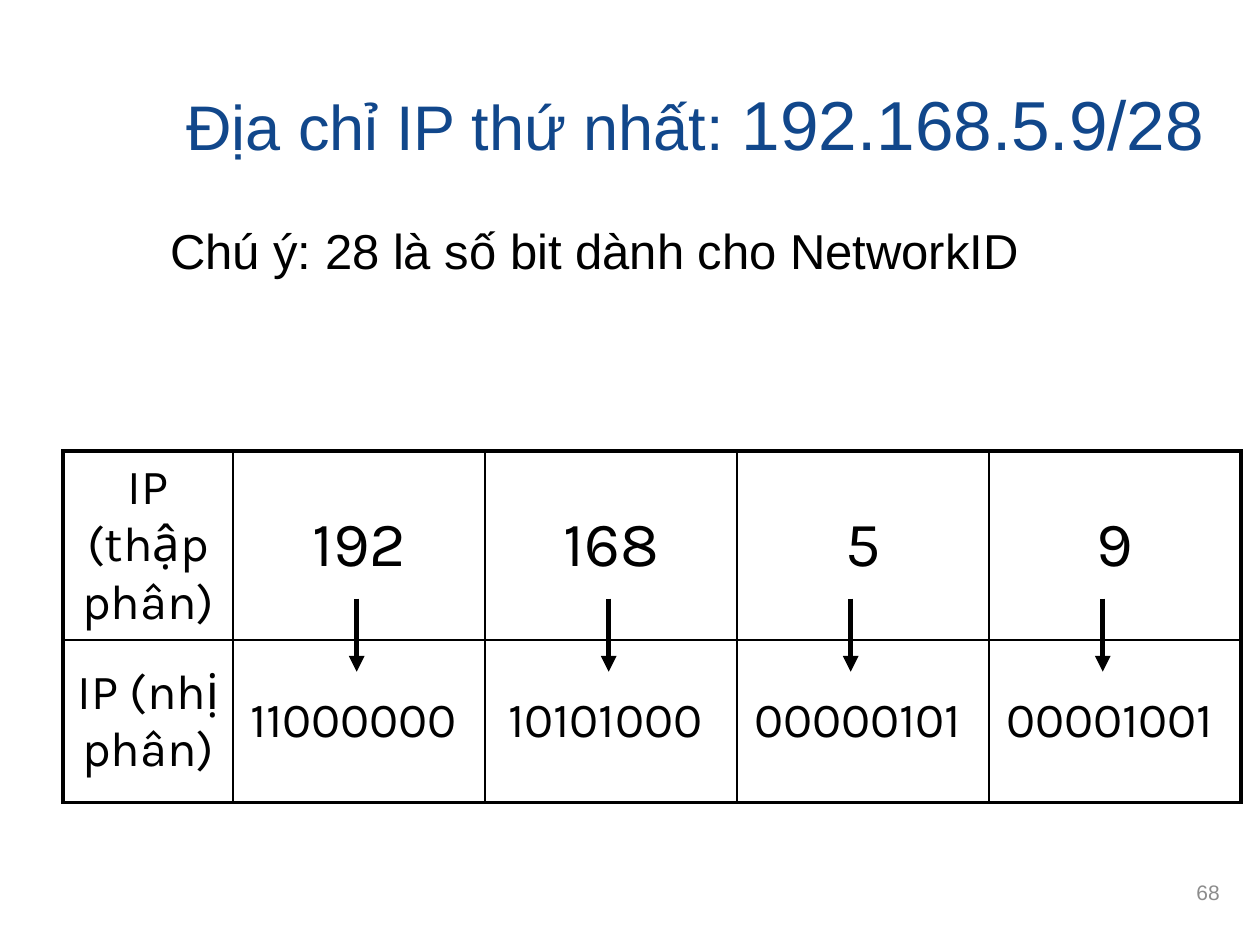
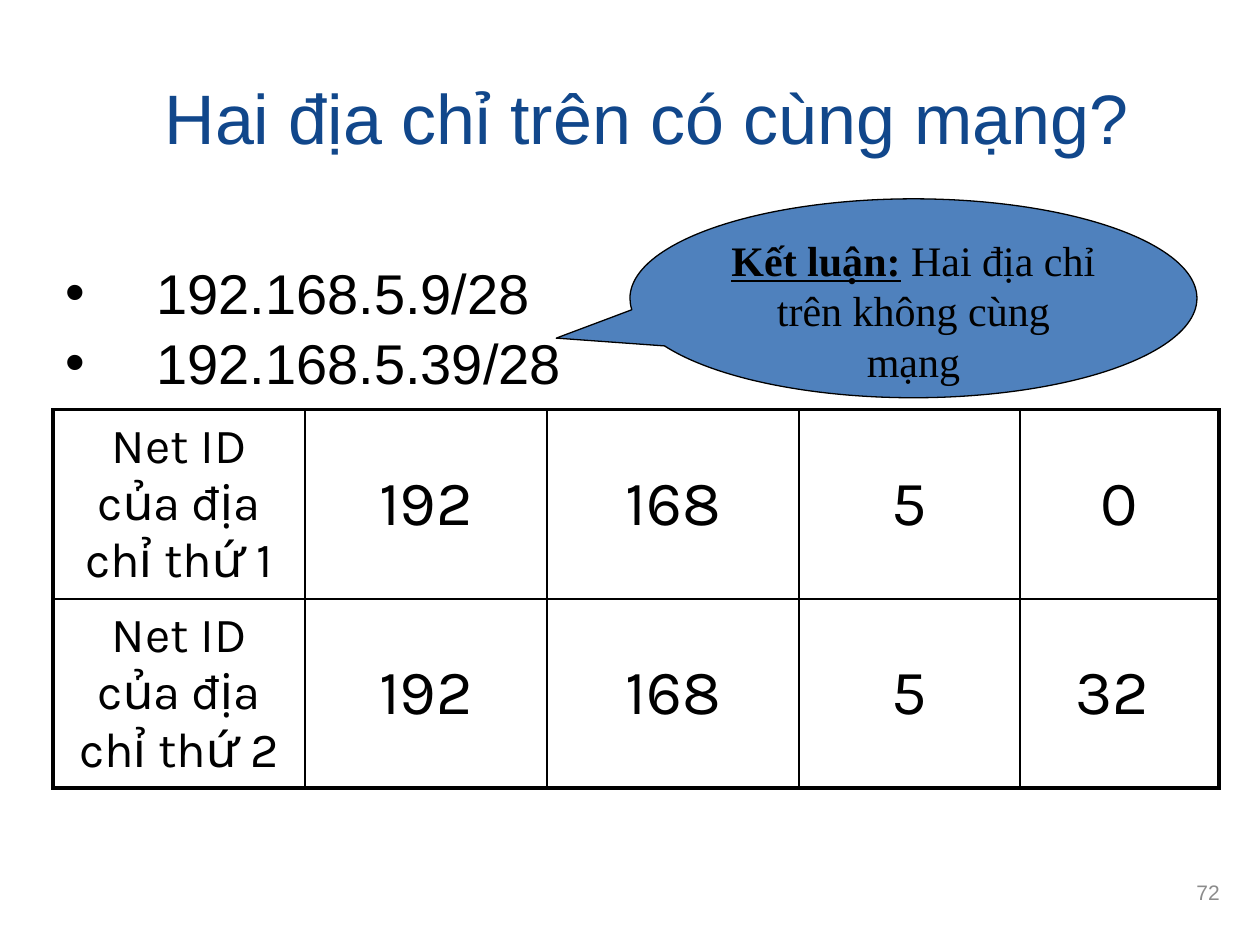
from lxml import etree
from pptx import Presentation
from pptx.dml.color import RGBColor
from pptx.enum.shapes import MSO_CONNECTOR, MSO_SHAPE
from pptx.enum.text import MSO_ANCHOR, PP_ALIGN
from pptx.oxml import parse_xml
from pptx.oxml.ns import nsdecls, qn
from pptx.util import Cm, Pt

LEFT, CENTER, RIGHT = PP_ALIGN.LEFT, PP_ALIGN.CENTER, PP_ALIGN.RIGHT
TOP, MIDDLE = MSO_ANCHOR.TOP, MSO_ANCHOR.MIDDLE
STRAIGHT = MSO_CONNECTOR.STRAIGHT
CALLOUT = MSO_SHAPE.OVAL_CALLOUT
BLACK, TITLE_BLUE, NUMBER_GRAY, CALLOUT_BLUE = "000000", "11478B", "8C8C8C", "4F81BD"
THIN, THICK = 1, 2.25
color = RGBColor.from_string


def write_text(paragraph, text, size=28, font="Arial", fill=BLACK, align=LEFT,
               bold=False, underline=False):
    paragraph.alignment = align
    run = paragraph.add_run()
    run.text = text
    run.font.size = Pt(size)
    run.font.name = font
    run.font.bold = bold
    run.font.underline = underline
    run.font.color.rgb = color(fill)


def add_text_frame(slide, left, top, width, height, anchor=TOP):
    box = slide.shapes.add_textbox(Cm(left), Cm(top), Cm(width), Cm(height))
    frame = box.text_frame
    frame.word_wrap = True
    frame.vertical_anchor = anchor
    return frame


presentation = Presentation()
presentation.slide_width = Cm(25.4)
presentation.slide_height = Cm(19.05)

pages = [
    {
        "number": "68",
        "title_at": (3.4, 0.86, 21.23, 3.25),
        "title": [("Địa chỉ IP thứ nhất: ", 36), ("192.168.5.9/28 ", 39.6)],
        "table_at": (1.27, 9.09),
        "columns": [3.43, 5.08, 5.08, 5.08, 5.08],
        "row_height": 3.28,
        "rows": [
            (["IP (thập phân)", "192", "168", "5", "9"], 36),
            (["IP (nhị phân)", "11000000 ", "10101000 ", "00000101 ", "00001001 "], 28),
        ],
    },
    {
        "number": "72",
        "title_at": (2.97, 1.07, 20.52, 2.54),
        "title": [("Hai địa chỉ trên có cùng mạng? ", 40)],
        "table_at": (1.07, 8.26),
        "columns": [5.08, 4.88, 5.08, 4.45, 4.01],
        "row_height": 3.45,
        "rows": [
            (["Net ID của địa chỉ thứ 1", "192", "168", "5", "0"], 36),
            (["Net ID của địa chỉ thứ 2", "192", "168", "5", "32 "], 36),
        ],
    },
]

slides = []
for page in pages:
    slide = presentation.slides.add_slide(presentation.slide_layouts[6])
    slides.append(slide)

    title = add_text_frame(slide, *page["title_at"], anchor=MIDDLE)
    for text, size in page["title"]:
        write_text(title.paragraphs[0], text, size=size, fill=TITLE_BLUE, align=CENTER)

    number = add_text_frame(slide, 19.56, 17.35, 5.28, 1.27, anchor=MIDDLE)
    write_text(number.paragraphs[0], page["number"], size=12, fill=NUMBER_GRAY, align=RIGHT)

    left, top = page["table_at"]
    columns, rows = page["columns"], page["rows"]
    table = slide.shapes.add_table(
        len(rows), len(columns), Cm(left), Cm(top),
        Cm(sum(columns)), Cm(page["row_height"] * len(rows))).table
    table.first_row = False
    table.horz_banding = False
    for column, width in zip(table.columns, columns):
        column.width = Cm(width)

    for row_index, (values, value_size) in enumerate(rows):
        table.rows[row_index].height = Cm(page["row_height"])
        for column_index, value in enumerate(values):
            cell = table.cell(row_index, column_index)
            cell.vertical_anchor = MIDDLE
            cell.fill.background()
            write_text(cell.text_frame.paragraphs[0], value, font="Karla", align=CENTER,
                       size=value_size if column_index else 28)
            outer_edges = [
                ("lnL", column_index == 0),
                ("lnR", column_index == len(columns) - 1),
                ("lnT", row_index == 0),
                ("lnB", row_index == len(rows) - 1),
            ]
            properties = cell._tc.get_or_add_tcPr()
            for position, (edge, is_outer) in enumerate(outer_edges):
                width = Pt(THICK if is_outer else THIN)
                properties.insert(position, parse_xml(
                    f'<a:{edge} {nsdecls("a")} w="{width}"><a:solidFill>'
                    f'<a:srgbClr val="{BLACK}"/></a:solidFill></a:{edge}>'))

address_slide, conclusion_slide = slides

note = add_text_frame(address_slide, 3.18, 4.45, 20.52, 3.61).paragraphs[0]
note.line_spacing = 0.9
write_text(note, "Chú ý: 28 là số bit dành cho NetworkID")

for x in (7.19, 12.27, 17.15, 22.23):
    arrow = address_slide.shapes.add_connector(STRAIGHT, Cm(x), Cm(12.07), Cm(x), Cm(13.54))
    arrow.line.color.rgb = color(BLACK)
    arrow.line.width = Pt(3)
    etree.SubElement(arrow.line._get_or_add_ln(), qn("a:tailEnd"), type="triangle")
    etree.SubElement(arrow._element.spPr, qn("a:effectLst"))

addresses = add_text_frame(conclusion_slide, 1.07, 5.08, 11.23, 3.18)
for index, address in enumerate(["192.168.5.9/28", "192.168.5.39/28"]):
    paragraph = addresses.add_paragraph() if index else addresses.paragraphs[0]
    write_text(paragraph, address, size=32)
    paragraph.space_before = Pt(2)
    properties = paragraph._p.get_or_add_pPr()
    properties.set("marL", str(Cm(1.83)))
    properties.set("indent", str(-Cm(1.83)))
    etree.SubElement(properties, qn("a:buFont"), typeface="Arial")
    etree.SubElement(properties, qn("a:buChar"), char="•")

callout = conclusion_slide.shapes.add_shape(CALLOUT, Cm(12.7), Cm(4.01), Cm(11.43), Cm(4.01))
callout.shadow.inherit = False
callout.adjustments[0] = -0.63
callout.adjustments[1] = 0.2
callout.fill.solid()
callout.fill.fore_color.rgb = color(CALLOUT_BLUE)
callout.line.color.rgb = color(BLACK)
callout.line.width = Pt(0.75)
callout.text_frame.word_wrap = True
callout.text_frame.vertical_anchor = TOP
conclusion = callout.text_frame.paragraphs[0]
for text, emphasis in (("Kết luận:", True), (" Hai địa chỉ trên không cùng mạng", False)):
    write_text(conclusion, text, size=24, font="Times New Roman", align=CENTER,
               bold=emphasis, underline=emphasis)

presentation.save("out.pptx")
